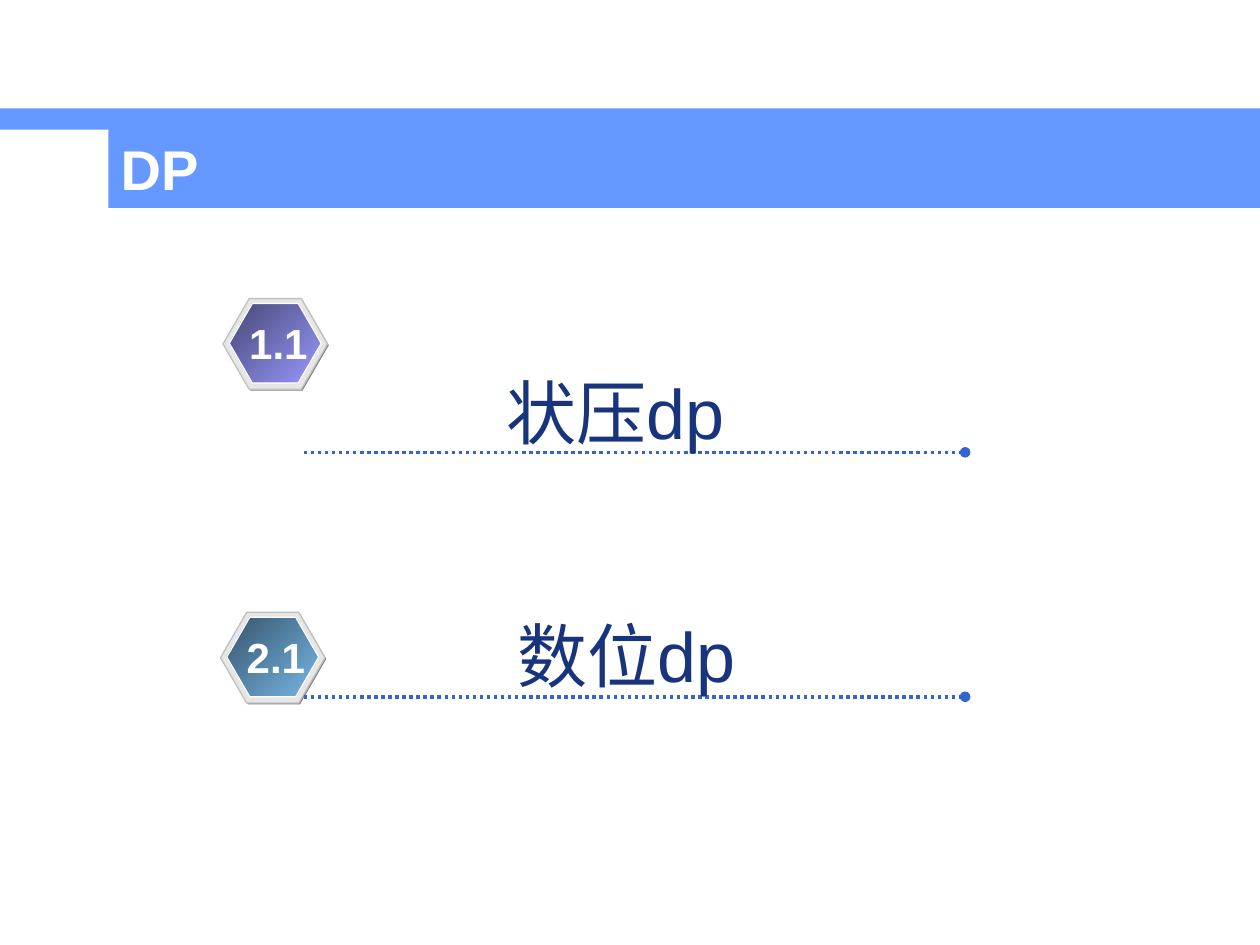
from dataclasses import dataclass

from lxml.etree import SubElement
from pptx import Presentation
from pptx.dml.color import RGBColor
from pptx.enum.dml import MSO_LINE
from pptx.enum.shapes import MSO_CONNECTOR, MSO_SHAPE
from pptx.enum.text import MSO_ANCHOR, PP_ALIGN
from pptx.oxml.ns import qn
from pptx.shapes.autoshape import Shape
from pptx.slide import Slide
from pptx.util import Inches, Pt

WHITE = RGBColor(0xFF, 0xFF, 0xFF)
BANNER_BLUE = RGBColor(0x66, 0x99, 0xFF)
RULE_BLUE = RGBColor(0x33, 0x66, 0xCC)
TOPIC_NAVY = RGBColor(0x17, 0x34, 0x7D)
SHADE_GRAY = RGBColor(0x80, 0x80, 0x80)
RIM_GRAY = RGBColor(0xE6, 0xE6, 0xE6)
EDGE_GRAY = RGBColor(0xC0, 0xC0, 0xC0)
PURPLE = RGBColor(0x99, 0x99, 0xFF)
DARK_PURPLE = RGBColor(0x47, 0x47, 0x76)
SKY = RGBColor(0x77, 0xB7, 0xE7)
DARK_SKY = RGBColor(0x37, 0x55, 0x6B)


@dataclass(frozen=True)
class Topic:
    """A numbered entry with its badge, rule and heading."""

    number: str
    heading: str
    badge_left: float
    badge_top: float
    rule_top: float
    heading_left: float
    heading_top: float
    light: RGBColor
    dark: RGBColor


TOPICS = (
    Topic("1.1", "状压dp", 1.77, 2.37, 3.59, 3.92, 2.88, PURPLE, DARK_PURPLE),
    Topic("2.1", "数位dp", 1.75, 4.86, 5.53, 4.01, 4.81, SKY, DARK_SKY),
)


def add_filled_shape(slide: Slide, kind: MSO_SHAPE, left: float, top: float,
                     width: float, height: float, fill: RGBColor,
                     edge: RGBColor | None = None) -> Shape:
    """Add a preset shape with a solid fill and an optional thin edge."""
    shape = slide.shapes.add_shape(
        kind, Inches(left), Inches(top), Inches(width), Inches(height))
    shape.shadow.inherit = False
    shape.fill.solid()
    shape.fill.fore_color.rgb = fill
    if edge is None:
        shape.line.fill.background()
    else:
        shape.line.color.rgb = edge
        shape.line.width = Pt(0.75)
    return shape


def write_text(shape: Shape, text: str, size: int, color: RGBColor,
               bold: bool = False, alignment: PP_ALIGN = PP_ALIGN.LEFT) -> None:
    """Write one line of text from the top of a shape."""
    frame = shape.text_frame
    frame.vertical_anchor = MSO_ANCHOR.TOP
    frame.text = text
    paragraph = frame.paragraphs[0]
    paragraph.alignment = alignment
    paragraph.font.name = "Arial"
    paragraph.font.size = Pt(size)
    paragraph.font.bold = bold
    paragraph.font.color.rgb = color


def add_label(slide: Slide, left: float, top: float, width: float, height: float,
              text: str, size: int, color: RGBColor, bold: bool = False,
              alignment: PP_ALIGN = PP_ALIGN.LEFT) -> None:
    """Add an unwrapped text box."""
    box = slide.shapes.add_textbox(
        Inches(left), Inches(top), Inches(width), Inches(height))
    box.text_frame.word_wrap = False
    write_text(box, text, size, color, bold, alignment)


def add_hexagon(slide: Slide, left: float, top: float, width: float, height: float,
                fill: RGBColor, edge: RGBColor | None = None) -> Shape:
    """Add a regular hexagon."""
    hexagon = add_filled_shape(
        slide, MSO_SHAPE.HEXAGON, left, top, width, height, fill, edge)
    hexagon.adjustments[0] = 0.289
    return hexagon


def add_badge(slide: Slide, topic: Topic) -> None:
    """Add the shaded, rimmed and gradient-filled hexagons."""
    left, top = topic.badge_left, topic.badge_top
    add_hexagon(slide, left + 0.01, top + 0.01, 0.83, 0.72, SHADE_GRAY)
    add_hexagon(slide, left, top, 0.83, 0.72, RIM_GRAY, EDGE_GRAY)
    face = add_hexagon(slide, left + 0.05, top + 0.04, 0.73, 0.63, topic.light, WHITE)
    face.fill.gradient()
    face.fill.gradient_angle = 135
    for stop, color in zip(face.fill.gradient_stops, (topic.light, topic.dark)):
        stop.color.rgb = color


def add_rule(slide: Slide, top: float) -> None:
    """Add a dotted rule that ends in a round dot."""
    rule = slide.shapes.add_connector(
        MSO_CONNECTOR.STRAIGHT, Inches(2.41), Inches(top), Inches(7.66), Inches(top))
    rule.line.color.rgb = RULE_BLUE
    rule.line.width = Pt(2)
    rule.line.dash_style = MSO_LINE.ROUND_DOT
    properties = rule.element.spPr
    SubElement(properties.find(qn("a:ln")), qn("a:tailEnd"), type="oval")
    SubElement(properties, qn("a:effectLst"))


def add_topic(slide: Slide, topic: Topic) -> None:
    """Add the badge, rule and number of one topic."""
    add_badge(slide, topic)
    add_rule(slide, topic.rule_top)
    add_label(slide, topic.badge_left + 0.11, topic.badge_top + 0.1, 0.66, 0.5,
              topic.number, 24, WHITE, True, PP_ALIGN.CENTER)


def main() -> None:
    """Build the slide and save it."""
    presentation = Presentation()
    presentation.slide_width = Inches(10)
    presentation.slide_height = Inches(7.5)
    slide = presentation.slides.add_slide(presentation.slide_layouts[6])
    add_filled_shape(slide, MSO_SHAPE.RECTANGLE, 0, 0.86, 10, 0.17, BANNER_BLUE)
    title = add_filled_shape(
        slide, MSO_SHAPE.RECTANGLE, 0.86, 1.02, 9.14, 0.63, BANNER_BLUE)
    write_text(title, "DP", 32, WHITE, True)
    for topic in TOPICS:
        add_topic(slide, topic)
    for topic in TOPICS:
        add_label(slide, topic.heading_left, topic.heading_top, 2.06, 0.77,
                  topic.heading, 40, TOPIC_NAVY)
    presentation.save("out.pptx")


if __name__ == "__main__":
    main()
